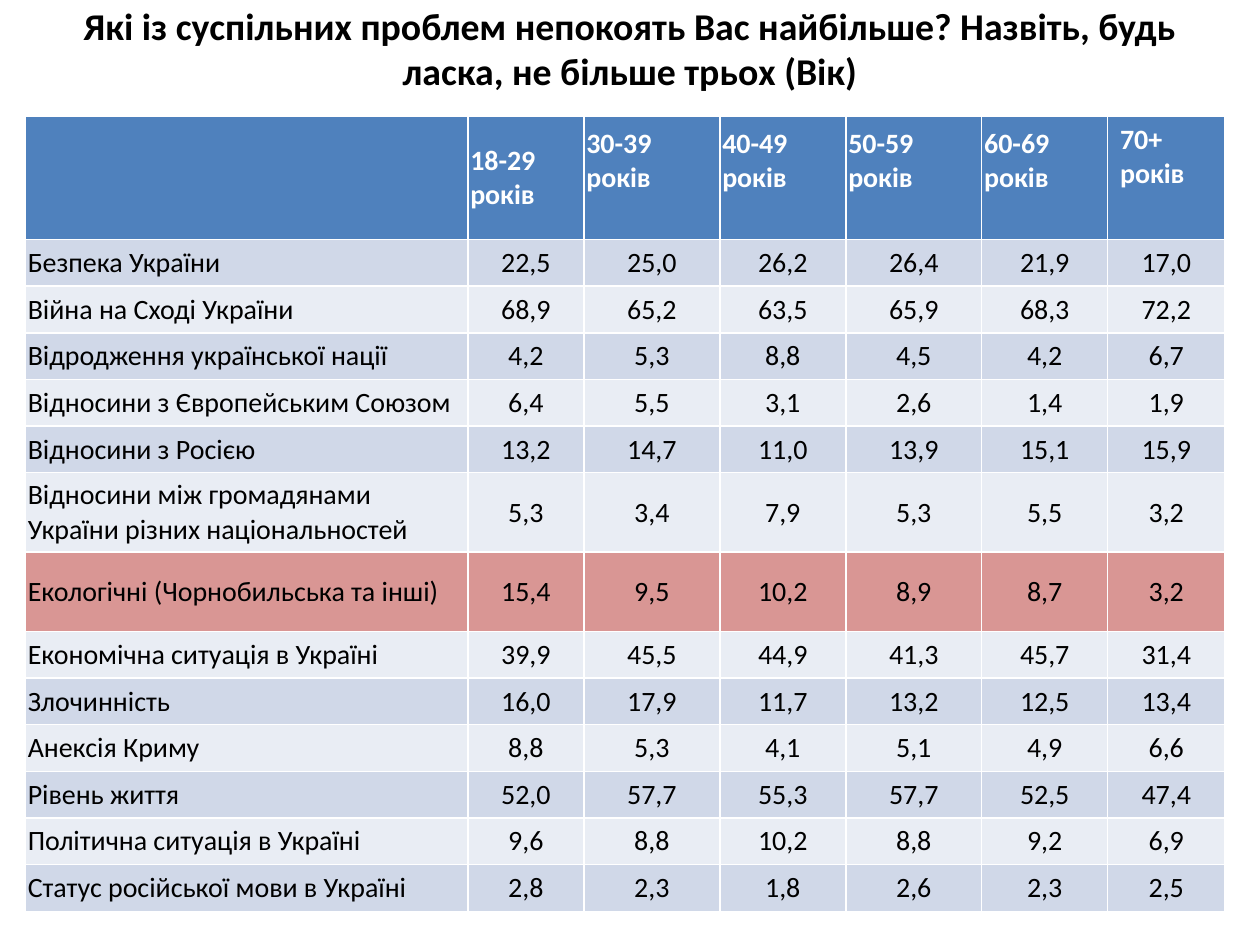
from pptx import Presentation
from pptx.dml.color import RGBColor
from pptx.enum.text import MSO_ANCHOR, PP_ALIGN
from pptx.util import Cm, Pt

MID, TOP = MSO_ANCHOR.MIDDLE, MSO_ANCHOR.TOP
LEFT, CENTER = PP_ALIGN.LEFT, PP_ALIGN.CENTER

theme = {
    "font": "Calibri",
    "title": 21.6,
    "cell": 16,
    "ink": "000000",
    "white": "FFFFFF",
    "head": "4F81BD",
    "bands": ("D0D8E8", "E9EDF4"),
    "mark": "D99694",
}

ages = ["18-29", "30-39", "40-49", "50-59", "60-69", "70+"]
topics = [
    ("Безпека України", "22,5 25,0 26,2 26,4 21,9 17,0"),
    ("Війна на Сході України", "68,9 65,2 63,5 65,9 68,3 72,2"),
    ("Відродження української нації", "4,2 5,3 8,8 4,5 4,2 6,7"),
    ("Відносини з Європейським Союзом", "6,4 5,5 3,1 2,6 1,4 1,9"),
    ("Відносини з Росією", "13,2 14,7 11,0 13,9 15,1 15,9"),
    ("Відносини між громадянами України різних національностей", "5,3 3,4 7,9 5,3 5,5 3,2"),
    ("Екологічні (Чорнобильська та інші)", "15,4 9,5 10,2 8,9 8,7 3,2"),
    ("Економічна ситуація в Україні", "39,9 45,5 44,9 41,3 45,7 31,4"),
    ("Злочинність", "16,0 17,9 11,7 13,2 12,5 13,4"),
    ("Анексія Криму", "8,8 5,3 4,1 5,1 4,9 6,6"),
    ("Рівень життя", "52,0 57,7 55,3 57,7 52,5 47,4"),
    ("Політична ситуація в Україні", "9,6 8,8 10,2 8,8 9,2 6,9"),
    ("Статус російської мови в Україні", "2,8 2,3 1,8 2,6 2,3 2,5"),
]
widths = [8.92, 2.34, 2.74, 2.54, 2.74, 2.54, 2.36]
HEAD, ROW, TALL, PAD = 2.49, 0.94, 1.6, 0.05
ECO = 7
tall = (6, ECO)


def write(frame, text, size, color, bold, align):
    para = frame.paragraphs[0]
    para.alignment = align
    run = para.add_run()
    run.text = text
    run.font.name = theme["font"]
    run.font.size = Pt(size)
    run.font.bold = bold
    run.font.color.rgb = RGBColor.from_string(color)


def paint(cell, color):
    cell.fill.solid()
    cell.fill.fore_color.rgb = RGBColor.from_string(color)
    cell.vertical_anchor = MID
    cell.margin_left = cell.margin_right = Cm(PAD)
    cell.margin_top = cell.margin_bottom = Cm(PAD)


deck = Presentation()
deck.slide_width, deck.slide_height = Cm(25.4), Cm(19.05)
slide = deck.slides.add_slide(deck.slide_layouts[5])

title = slide.shapes.title
title.left, title.top, title.width, title.height = Cm(1.27), Cm(0), Cm(22.86), Cm(1.93)
title.text_frame.vertical_anchor = MID
write(title.text_frame, "Які із суспільних проблем непокоять Вас найбільше? Назвіть, будь ласка, не більше трьох (Вік)",
      theme["title"], theme["ink"], True, CENTER)

heights = [HEAD] + [TALL if n in tall else ROW for n in range(1, len(topics) + 1)]
table = slide.shapes.add_table(len(heights), len(widths), Cm(0.51), Cm(2.34),
                               Cm(sum(widths)), Cm(sum(heights))).table
for column, width in zip(table.columns, widths):
    column.width = Cm(width)
for row, height in zip(table.rows, heights):
    row.height = Cm(height)

paint(table.cell(0, 0), theme["head"])
for col, age in enumerate(ages, 1):
    cell = table.cell(0, col)
    paint(cell, theme["head"])
    write(cell.text_frame, age + " років", theme["cell"], theme["white"], True, LEFT)
    if col == len(ages):
        cell.vertical_anchor = TOP
        cell.margin_left = cell.margin_right = Cm(0.25)
        cell.margin_top = cell.margin_bottom = Cm(0.13)
    elif col > 1:
        cell.margin_bottom = Cm(0.74)

for num, (topic, shares) in enumerate(topics, 1):
    color = theme["mark"] if num == ECO else theme["bands"][(num - 1) % 2]
    for col, text in enumerate([topic] + shares.split()):
        cell = table.cell(num, col)
        paint(cell, color)
        write(cell.text_frame, text, theme["cell"], theme["ink"], False, CENTER if col else LEFT)

deck.save("out.pptx")
